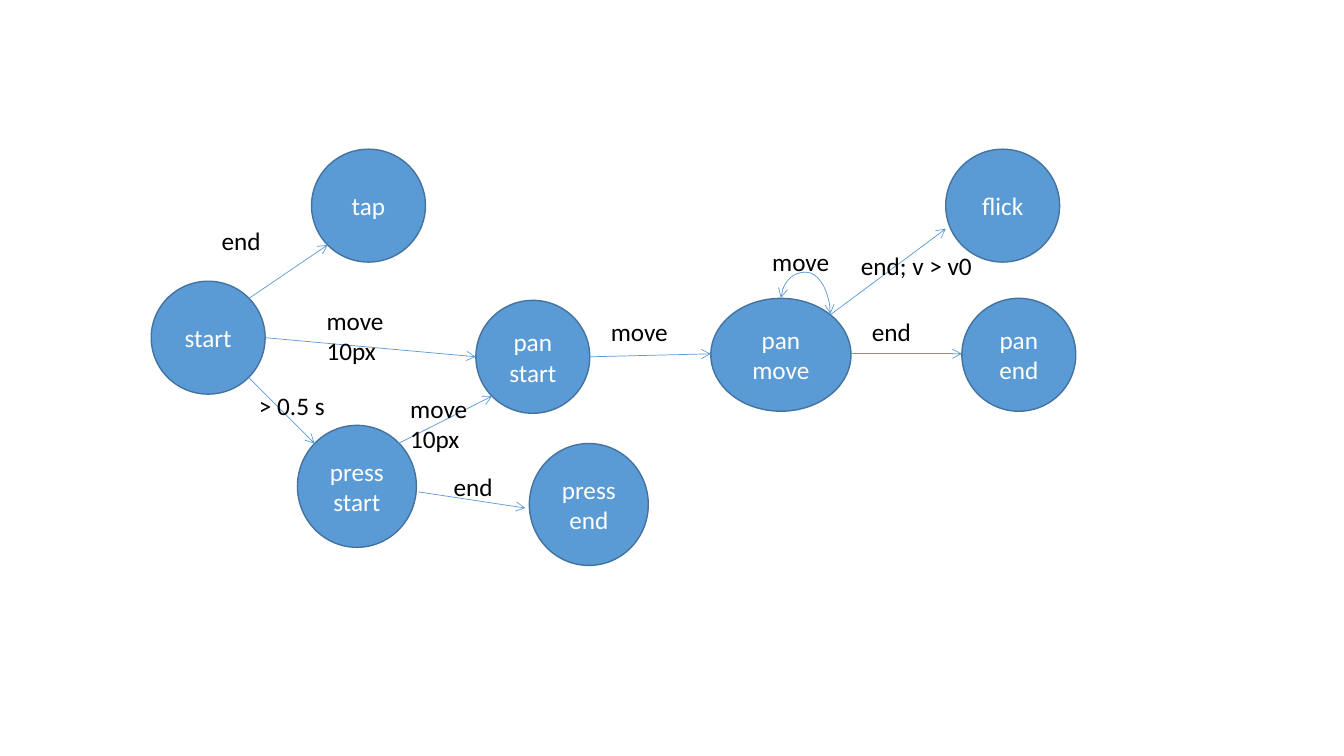
from dataclasses import dataclass

from lxml import etree
from pptx import Presentation
from pptx.dml.color import RGBColor
from pptx.enum.shapes import MSO_CONNECTOR, MSO_SHAPE
from pptx.enum.text import MSO_ANCHOR, MSO_AUTO_SIZE, PP_ALIGN
from pptx.oxml.ns import qn
from pptx.util import Inches, Pt

OVAL = MSO_SHAPE.OVAL
LINE = MSO_CONNECTOR.STRAIGHT
CURVE = MSO_CONNECTOR.CURVE
MIDDLE = MSO_ANCHOR.MIDDLE
CENTER = PP_ALIGN.CENTER
LEFT = PP_ALIGN.LEFT
GROW = MSO_AUTO_SIZE.SHAPE_TO_FIT_TEXT

BLUE = RGBColor(0x5B, 0x9B, 0xD5)
EDGE = RGBColor(0x43, 0x73, 0x9E)
WHITE = RGBColor(0xFF, 0xFF, 0xFF)
BLACK = RGBColor(0x00, 0x00, 0x00)
FONT = "Calibri"
SIZE = Pt(18)


@dataclass
class State:
    """A gesture state, drawn as an oval."""
    text: str
    x: float
    y: float
    w: float = 1.13
    h: float = 1.12


@dataclass
class Arrow:
    """A straight transition between two points."""
    x1: float
    y1: float
    x2: float
    y2: float


@dataclass
class Label:
    """The event that fires a transition."""
    text: str
    x: float
    y: float
    w: float = 0.99
    h: float = 0.4


STATES = [
    State("start", 1.5, 2.79),
    State("tap", 3.09, 1.48),
    State("press\nstart", 2.95, 4.22, 1.18, 1.21),
    State("pan\nstart", 4.72, 2.98),
    State("pan\nmove", 7.05, 2.96, 1.39),
    State("press\nend", 5.25, 4.4, 1.18, 1.21),
    State("pan\nend", 9.54, 2.96),
    State("flick", 9.38, 1.48),
]
ARROWS = [
    Arrow(2.47, 2.96, 3.25, 2.43),
    Arrow(2.47, 3.75, 3.12, 4.4),
    Arrow(2.63, 3.35, 4.72, 3.54),
    Arrow(4.15, 4.88, 5.21, 5.04),
    Arrow(3.95, 4.4, 4.88, 3.93),
    Arrow(5.85, 3.54, 7.05, 3.51),
    Arrow(8.44, 3.51, 9.54, 3.51),
    Arrow(8.24, 3.12, 9.38, 2.27),
]
LABELS = [
    Label("end", 2.1, 2.19),
    Label("> 0.5 s", 2.47, 3.82),
    Label("end", 4.4, 4.63),
    Label("move 10px", 3.14, 2.98, h=0.71),
    Label("move", 5.96, 3.09),
    Label("move", 7.56, 2.39),
    Label("end", 8.55, 3.09),
    Label("end; v > v0", 8.44, 2.43, 1.55),
    Label("move 10px", 3.97, 3.85, h=0.71),
]
# Before its quarter turn, the loop on "pan move" runs between these points.
LOOP = Arrow(8.07, 2.79, 7.91, 3.28)
TURN = 270 * 60000
BULGE = -159600


def style(frame, color: RGBColor, align) -> None:
    """Set the font and alignment of every paragraph."""
    for para in frame.paragraphs:
        para.alignment = align
        para.font.name = FONT
        para.font.size = SIZE
        para.font.color.rgb = color


def draw_state(slide, state: State) -> None:
    """Draw one state with its centred name."""
    oval = slide.shapes.add_shape(
        OVAL, Inches(state.x), Inches(state.y), Inches(state.w), Inches(state.h))
    oval.shadow.inherit = False
    oval.fill.solid()
    oval.fill.fore_color.rgb = BLUE
    oval.line.color.rgb = EDGE
    oval.line.width = Pt(1)
    frame = oval.text_frame
    frame.word_wrap = True
    frame.vertical_anchor = MIDDLE
    frame.text = state.text
    style(frame, WHITE, CENTER)


def draw_arrow(slide, arrow: Arrow, kind=LINE, ends: tuple = ("tailEnd",)):
    """Draw a thin connector with open heads at the given ends."""
    link = slide.shapes.add_connector(
        kind, Inches(arrow.x1), Inches(arrow.y1), Inches(arrow.x2), Inches(arrow.y2))
    link.line.color.rgb = BLUE
    link.line.width = Pt(0.5)
    props = link._element.spPr
    for end in ends:
        etree.SubElement(props.find(qn("a:ln")), qn(f"a:{end}"), type="arrow")
    etree.SubElement(props, qn("a:effectLst"))
    return link


def draw_loop(slide) -> None:
    """Draw the curved arrow from a state back to itself."""
    link = draw_arrow(slide, LOOP, CURVE, ("headEnd", "tailEnd"))
    props = link._element.spPr
    props.find(qn("a:xfrm")).set("rot", str(TURN))
    geom = props.find(qn("a:prstGeom"))
    guides = geom.find(qn("a:avLst"))
    if guides is None:
        guides = etree.SubElement(geom, qn("a:avLst"))
    etree.SubElement(guides, qn("a:gd"), name="adj1", fmla=f"val {BULGE}")


def draw_label(slide, label: Label) -> None:
    """Write one event name."""
    box = slide.shapes.add_textbox(
        Inches(label.x), Inches(label.y), Inches(label.w), Inches(label.h))
    frame = box.text_frame
    frame.word_wrap = True
    frame.auto_size = GROW
    frame.text = label.text
    style(frame, BLACK, LEFT)


def main() -> None:
    """Build the gesture state diagram."""
    deck = Presentation()
    deck.slide_width = Inches(13.33)
    deck.slide_height = Inches(7.5)
    slide = deck.slides.add_slide(deck.slide_layouts[6])
    for state in STATES:
        draw_state(slide, state)
    for arrow in ARROWS:
        draw_arrow(slide, arrow)
    draw_loop(slide)
    for label in LABELS:
        draw_label(slide, label)
    deck.save("out.pptx")


main()
